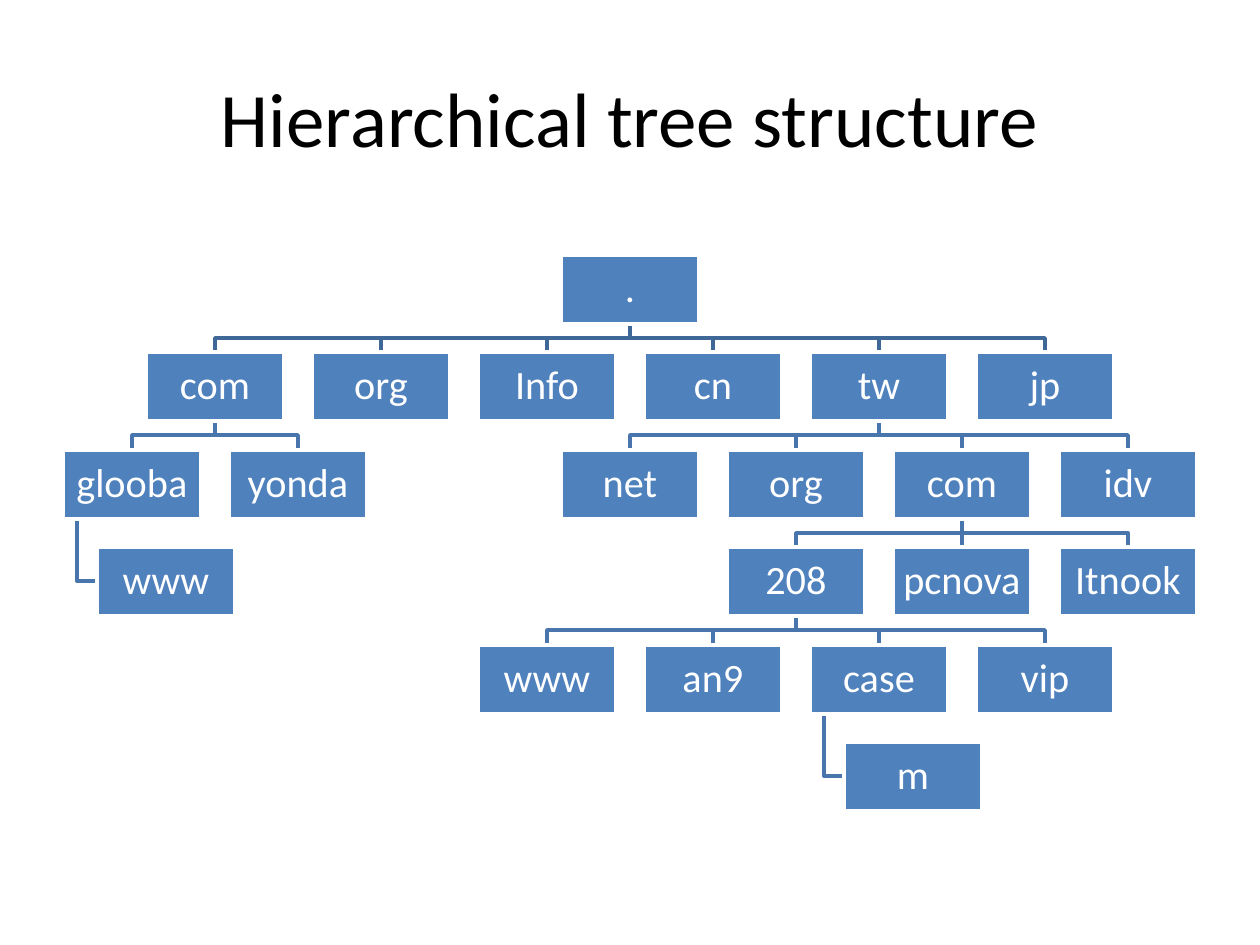
from pptx import Presentation
from pptx.dml.color import RGBColor
from pptx.enum.shapes import MSO_CONNECTOR, MSO_SHAPE
from pptx.enum.text import MSO_ANCHOR, PP_ALIGN
from pptx.oxml.ns import qn
from pptx.util import Pt
from lxml import etree

RECTANGLE = MSO_SHAPE.RECTANGLE
STRAIGHT = MSO_CONNECTOR.STRAIGHT
MIDDLE = MSO_ANCHOR.MIDDLE
CENTER = PP_ALIGN.CENTER

THEME = {
    "font": "Calibri",
    "title_size": Pt(44),
    "label_size": Pt(23),
    "line_width": Pt(2),
    "title": RGBColor.from_string("000000"),
    "box": RGBColor.from_string("4F81BD"),
    "white": RGBColor.from_string("FFFFFF"),
    "root_link": RGBColor.from_string("3F6797"),
    "link": RGBColor.from_string("4875AC"),
}

SCALE = 914400 / 126  # EMU in one px
SLIDE_WIDTH, SLIDE_HEIGHT = 1260, 945
BOX_WIDTH, BOX_HEIGHT = 138, 69
HALF_COLUMN = 83
TOP = 255
TWO_ROWS = 195
HANG_INDENT, HANG_LINE = 34, 14


def px(length):
    return round(length * SCALE)


def write_text(shape, text, size, color):
    frame = shape.text_frame
    frame.text = text
    paragraph = frame.paragraphs[0]
    for target, values in (
        (frame, {"vertical_anchor": MIDDLE, "word_wrap": True}),
        (paragraph, {"alignment": CENTER}),
        (paragraph.runs[0].font, {"name": THEME["font"], "size": size}),
    ):
        for name, value in values.items():
            setattr(target, name, value)
    paragraph.runs[0].font.color.rgb = color


presentation = Presentation()
presentation.slide_width = px(SLIDE_WIDTH)
presentation.slide_height = px(SLIDE_HEIGHT)
slide = presentation.slides.add_slide(presentation.slide_layouts[5])

# Title
title = slide.shapes.title
title_place = {"left": 63, "top": 38, "width": 1134, "height": 158}
for name, value in title_place.items():
    setattr(title, name, px(value))
write_text(title, "Hierarchical tree structure", THEME["title_size"], THEME["title"])

# Families: parent domain, first child's half column (None hangs below), labels
families = [
    (".", -5, ["com", "org", "Info", "cn", "tw", "jp"]),
    ("com.", -6, ["glooba", "yonda"]),
    ("glooba.com.", None, ["www"]),
    ("tw.", 0, ["net", "org", "com", "idv"]),
    ("com.tw.", 2, ["208", "pcnova", "Itnook"]),
    ("208.com.tw.", -1, ["www", "an9", "case", "vip"]),
    ("case.208.com.tw.", None, ["m"]),
]

# Place every domain: label, row, left edge
nodes = {".": (".", 0, SLIDE_WIDTH // 2 - BOX_WIDTH // 2)}
links = []
for parent, first_column, labels in families:
    _, parent_row, parent_left = nodes[parent]
    for index, label in enumerate(labels):
        if first_column is None:
            left = parent_left + HANG_INDENT
        else:
            left = nodes["."][2] + HALF_COLUMN * (first_column + 2 * index)
        child = label + "." + parent.lstrip(".")
        nodes[child] = (label, parent_row + 1, left)
        links.append((parent, child, first_column is None))

# Links, behind the boxes
straight_links = []
for parent, child, hangs in links:
    _, parent_row, parent_left = nodes[parent]
    _, child_row, child_left = nodes[child]
    start_x = parent_left + BOX_WIDTH // 2
    start_y = TOP + parent_row * TWO_ROWS // 2 + BOX_HEIGHT
    end_x = child_left + BOX_WIDTH // 2
    end_y = TOP + child_row * TWO_ROWS // 2
    if start_x == end_x:
        link = slide.shapes.add_connector(
            STRAIGHT, px(start_x), px(start_y), px(end_x), px(end_y)
        )
        etree.SubElement(link._element.spPr, qn("a:effectLst"))
        straight_links.append((link, parent, child))
    else:
        if hangs:
            start_x = parent_left + HANG_LINE
            middle_y = end_y + BOX_HEIGHT // 2
            points = [(start_x, middle_y), (child_left, middle_y)]
        else:
            middle_y = (start_y + end_y) // 2
            points = [(start_x, middle_y), (end_x, middle_y), (end_x, end_y)]
        builder = slide.shapes.build_freeform(start_x, start_y, scale=SCALE)
        builder.add_line_segments(points, close=False)
        link = builder.convert_to_shape()
        link.shadow.inherit = False
        link.fill.background()
    link.line.color.rgb = THEME["root_link" if parent == "." else "link"]
    link.line.width = THEME["line_width"]

# Domain boxes
boxes = {}
for domain, (label, row, left) in nodes.items():
    box = slide.shapes.add_shape(
        RECTANGLE, px(left), px(TOP + row * TWO_ROWS // 2), px(BOX_WIDTH), px(BOX_HEIGHT)
    )
    box.shadow.inherit = False
    box.fill.solid()
    box.fill.fore_color.rgb = THEME["box"]
    box.line.color.rgb = THEME["white"]
    box.line.width = THEME["line_width"]
    write_text(box, label, THEME["label_size"], THEME["white"])
    for side in ("left", "top", "right", "bottom"):
        setattr(box.text_frame, "margin_" + side, px(2))
    box.text_frame.paragraphs[0].line_spacing = 0.9
    boxes[domain] = box

# Join straight links to the boxes
for link, parent, child in straight_links:
    link.begin_connect(boxes[parent], 2)
    link.end_connect(boxes[child], 0)

presentation.save("out.pptx")
